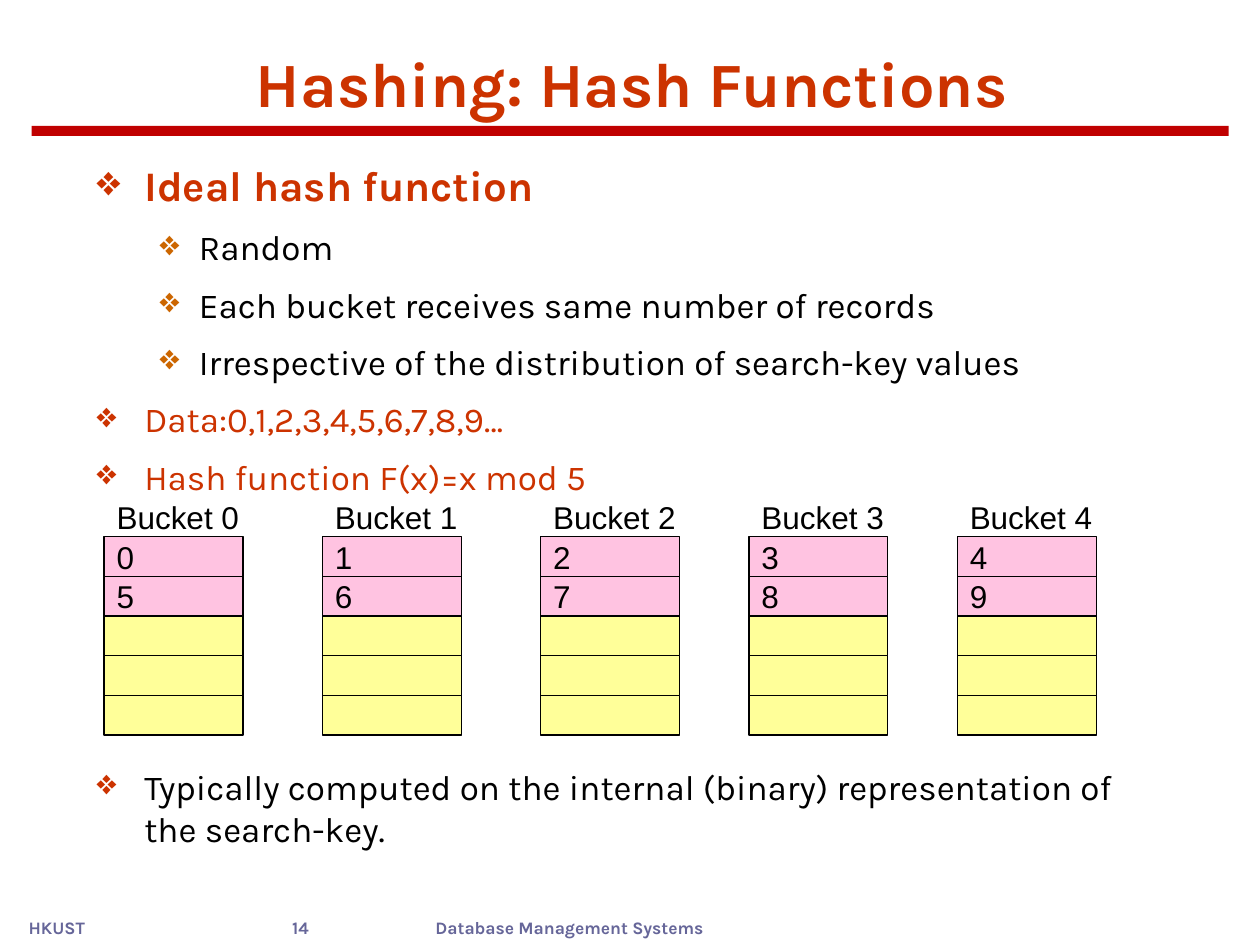
from lxml.etree import SubElement as Sub
from pptx import Presentation
from pptx.dml.color import RGBColor as Rgb
from pptx.enum.shapes import MSO_SHAPE as Shape
from pptx.enum.text import MSO_ANCHOR as Anchor, PP_ALIGN as Align
from pptx.oxml.ns import qn
from pptx.util import Cm, Pt

INK = {
    "title": "CC3300", "sub": "CC6600", "text": "000000", "foot": "666699",
    "rule": "C00000", "full": "FF99CC", "free": "FFFF99",
}


def ink(name):
    return Rgb.from_string(INK[name])


def add_run(par, text, size, color, font="Karla", bold=False):
    run = par.add_run()
    run.text = text
    run.font.size = Pt(size)
    run.font.name = font
    run.font.bold = bold
    run.font.color.rgb = ink(color)


def add_box(parent, x, y, w, h, anchor=Anchor.TOP, right=0.25):
    box = parent.shapes.add_textbox(Cm(x), Cm(y), Cm(w), Cm(h))
    frame = box.text_frame
    frame.word_wrap = True
    frame.vertical_anchor = anchor
    frame.margin_right = Cm(right)
    return frame


def add_rect(parent, x, y, w, h, color, alpha=None, edge=False):
    rect = parent.shapes.add_shape(Shape.RECTANGLE, Cm(x), Cm(y), Cm(w), Cm(h))
    rect.shadow.inherit = False
    rect.fill.solid()
    rect.fill.fore_color.rgb = ink(color)
    if alpha:
        tone = rect._element.spPr.find(qn("a:solidFill"))[0]
        Sub(tone, qn("a:alpha"), val=str(alpha * 1000))
    if edge:
        rect.line.color.rgb = ink("text")
        rect.line.width = Pt(0.75)
    else:
        rect.line.fill.background()
    return rect


def add_bullet(par, color, left, hang):
    props = par._p.get_or_add_pPr()
    props.set("marL", str(Cm(left)))
    props.set("indent", str(-Cm(hang)))
    tint = Sub(props, qn("a:buClr"))
    Sub(tint, qn("a:srgbClr"), val=INK[color])
    Sub(props, qn("a:buChar"), char="❖")


# Title with the rule below it
def add_title(slide, x, y, w, h, text):
    par = add_box(slide, x, y, w, h, Anchor.BOTTOM).paragraphs[0]
    par.alignment = Align.CENTER
    add_run(par, text, 36, "title", bold=True)
    add_rect(slide, x - 0.88, y + h, 24.13, 0.2, "rule")


# Bullet list; each item is (level, text, size, color, bold)
def add_list(slide, x, y, w, h, items):
    frame = add_box(slide, x, y, w, h)
    for i, (level, text, size, color, bold) in enumerate(items):
        par = frame.add_paragraph() if i else frame.paragraphs[0]
        par.level = level
        if level:
            add_bullet(par, "sub", 2.06, 0.79)
        else:
            add_bullet(par, "title", 0.96, 0.96)
        if i:
            par.space_before = Pt(8.8)
        add_run(par, text, size, color, bold=bold)


# One bucket: a label above five slots, the first ones filled
def add_bucket(slide, x, y, w, row, label, keys):
    group = slide.shapes.add_group_shape()
    head = add_box(group, x, y, w, row, Anchor.MIDDLE, right=0)
    add_run(head.paragraphs[0], label, 18, "text", "Arial")
    for i in range(5):
        top = y + (i + 1) * row
        if i >= len(keys):
            add_rect(group, x, top, w, row, "free", edge=True)
            continue
        slot = add_rect(group, x, top, w, row, "full", 58, edge=True)
        frame = slot.text_frame
        frame.vertical_anchor = Anchor.MIDDLE
        par = frame.paragraphs[0]
        par.alignment = Align.LEFT
        add_run(par, str(keys[i]), 18, "text", "Arial")


# Footer; each part is (offset, width, text)
def add_footer(slide, x, y, h, parts):
    for shift, w, text in parts:
        frame = add_box(slide, x + shift, y, w, h, right=0)
        add_run(frame.paragraphs[0], text, 10, "foot", bold=True)


def main():
    deck = Presentation()
    deck.slide_width, deck.slide_height = Cm(25.4), Cm(19.05)
    slide = deck.slides.add_slide(deck.slide_layouts[6])

    add_footer(slide, 0.33, 18.36, 0.69, [
        (0, 1.68, "HKUST"),
        (5.31, 2.29, "14"),
        (8.2, 6.15, "Database Management Systems"),
    ])
    add_title(slide, 1.52, 0.84, 22.43, 1.7, "Hashing: Hash Functions")
    add_list(slide, 1.7, 3.1, 21.69, 6.9, [
        (0, "Ideal hash function", 24, "title", True),
        (1, "Random", 20, "text", False),
        (1, "Each bucket receives same number of records", 20, "text", False),
        (1, "Irrespective of the distribution of search-key values",
         20, "text", False),
        (0, "Data:0,1,2,3,4,5,6,7,8,9…", 20, "title", False),
        (0, "Hash function F(x)=x mod 5", 20, "title", False),
    ])
    for n, x in enumerate([2.1, 6.5, 10.9, 15.1, 19.3]):
        add_bucket(slide, x, 10.02, 2.8, 0.8, f"Bucket {n}", [n, n + 5])
    add_list(slide, 1.7, 15.3, 21.69, 2.4, [
        (0, "Typically computed on the internal (binary) representation of "
            "the search-key.", 20, "text", False),
    ])
    deck.save("out.pptx")


if __name__ == "__main__":
    main()
